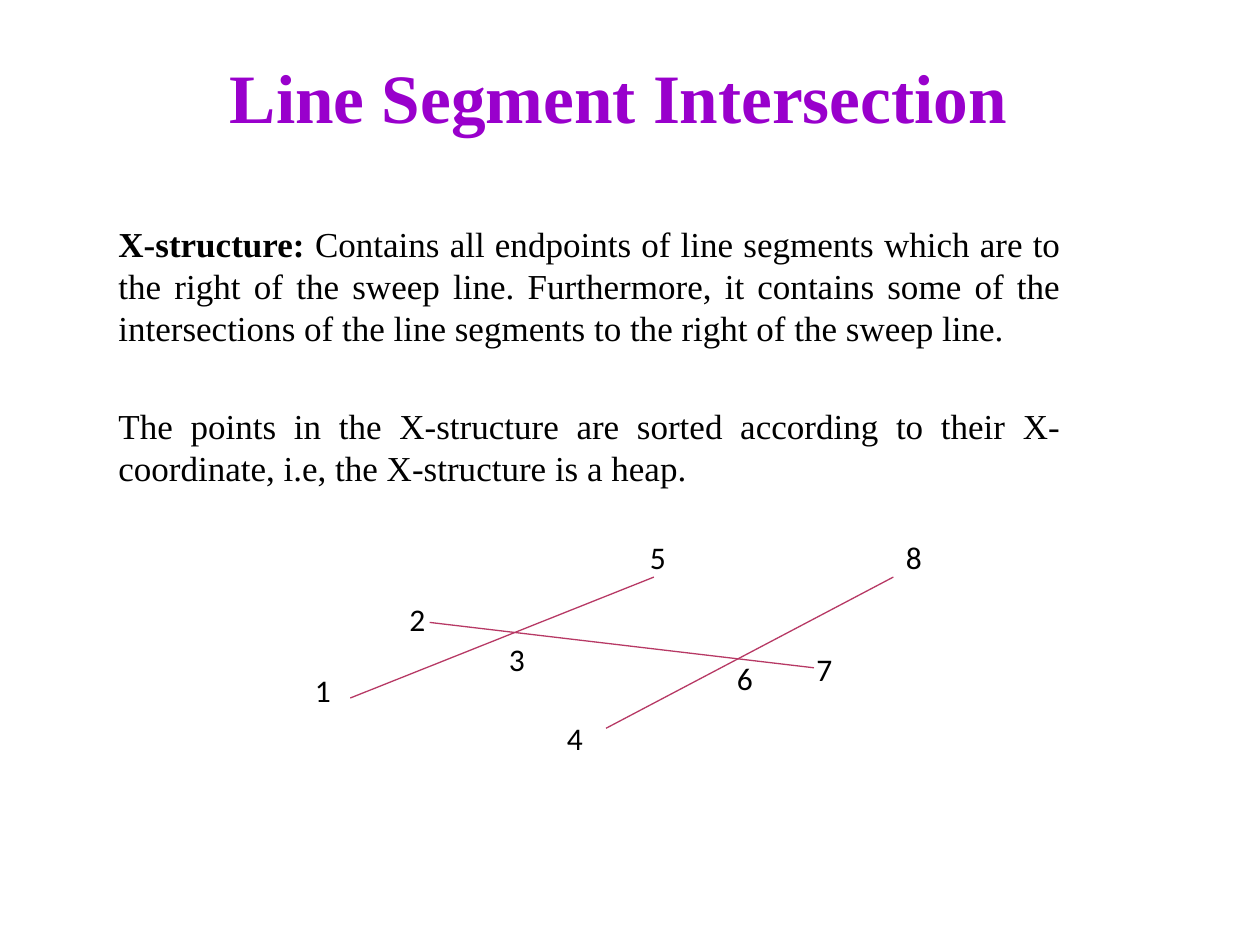
import pptx
import pptx.dml.color
import pptx.enum.shapes
import pptx.enum.text
import pptx.oxml
import pptx.util

ALIGN = pptx.enum.text.PP_ALIGN
ANCHOR = pptx.enum.text.MSO_ANCHOR


def color(value):
    """Turn a hex string into a colour."""
    return pptx.dml.color.RGBColor.from_string(value)


class SlideBuilder:
    """Draw styled elements on a slide whose grid has 100 columns and 75 rows."""

    UNIT = pptx.util.Inches(0.1)
    SERIF, SANS = "Times New Roman", "Calibri"
    INK, TITLE, SEGMENT = "000000", "9900CC", "B73965"

    def __init__(self, presentation):
        """Add a blank slide."""
        self.slide = presentation.slides.add_slide(presentation.slide_layouts[6])

    def grid(self, *cells):
        """Convert grid cells to lengths."""
        return [round(cell * self.UNIT) for cell in cells]

    def text(self, box, paragraphs, size, font, ink=INK, align=ALIGN.LEFT,
             anchor=ANCHOR.TOP, insets=(1, 0.5, 1, 0.5), line=None, gap=0):
        """Add a text box whose paragraphs are lists of (text, bold) runs."""
        shape = self.slide.shapes.add_textbox(*self.grid(*box))
        frame = shape.text_frame
        frame.word_wrap = True
        frame.vertical_anchor = anchor
        (frame.margin_left, frame.margin_top,
         frame.margin_right, frame.margin_bottom) = self.grid(*insets)
        for index, runs in enumerate(paragraphs):
            paragraph = frame.add_paragraph() if index else frame.paragraphs[0]
            paragraph.alignment = align
            if line:
                paragraph.line_spacing = pptx.util.Pt(line)
            if index:
                paragraph.space_before = pptx.util.Pt(gap)
            for content, bold in runs:
                run = paragraph.add_run()
                run.text = content
                run.font.name = font
                run.font.size = pptx.util.Pt(size)
                run.font.bold = bold
                run.font.color.rgb = color(ink)

    def title(self, box, content):
        """Add the slide title."""
        self.text(box, [[(content, True)]], 39.6, self.SERIF, self.TITLE,
                  ALIGN.CENTER, ANCHOR.BOTTOM, (0, 0, 0.2, 0))

    def body(self, box, paragraphs):
        """Add the justified body text."""
        self.text(box, paragraphs, 20, self.SERIF, align=ALIGN.JUSTIFY,
                  insets=(0, 0.5, 0.2, 0.5), line=24, gap=32)

    def label(self, number, left, top):
        """Add the number of a point."""
        self.text((left, top, 5.1, 6.1), [[(str(number), False)]], 18, self.SANS)

    def segment(self, *ends):
        """Add a line segment."""
        connector = self.slide.shapes.add_connector(
            pptx.enum.shapes.MSO_CONNECTOR.STRAIGHT, *self.grid(*ends))
        connector.line.color.rgb = color(self.SEGMENT)
        connector.line.width = pptx.util.Pt(0.75)
        properties = connector._element.spPr
        properties.append(properties.makeelement(
            pptx.oxml.ns.qn("a:effectLst"), {}))


presentation = pptx.Presentation()
presentation.slide_width = pptx.util.Inches(10)
presentation.slide_height = pptx.util.Inches(7.5)
builder = SlideBuilder(presentation)

builder.body((9.4, 17.2, 75, 50), [
    [("X-structure: ", True),
     ("Contains all endpoints of line segments which are to the right of the "
      "sweep line. Furthermore, it contains some of the intersections of the "
      "line segments to the right of the sweep line.", False)],
    [("The points in the X-structure are sorted according to their "
      "X-coordinate, i.e, the X-structure is a heap.", False)],
])
builder.title((2.3, 3.6, 93.8, 7.3), "Line Segment Intersection")

for ends in [(27.8, 55.4, 51.9, 45.8), (34.1, 49.4, 64.6, 53),
             (48.1, 57.8, 70.9, 45.8)]:
    builder.segment(*ends)

points = [(24, 52.8), (31.5, 47.1), (39.4, 50.3), (44, 56.6),
          (50.6, 42.2), (57.5, 51.8), (63.8, 51.1), (70.9, 42.2)]
for number, (left, top) in enumerate(points, start=1):
    builder.label(number, left, top)

presentation.save("out.pptx")
